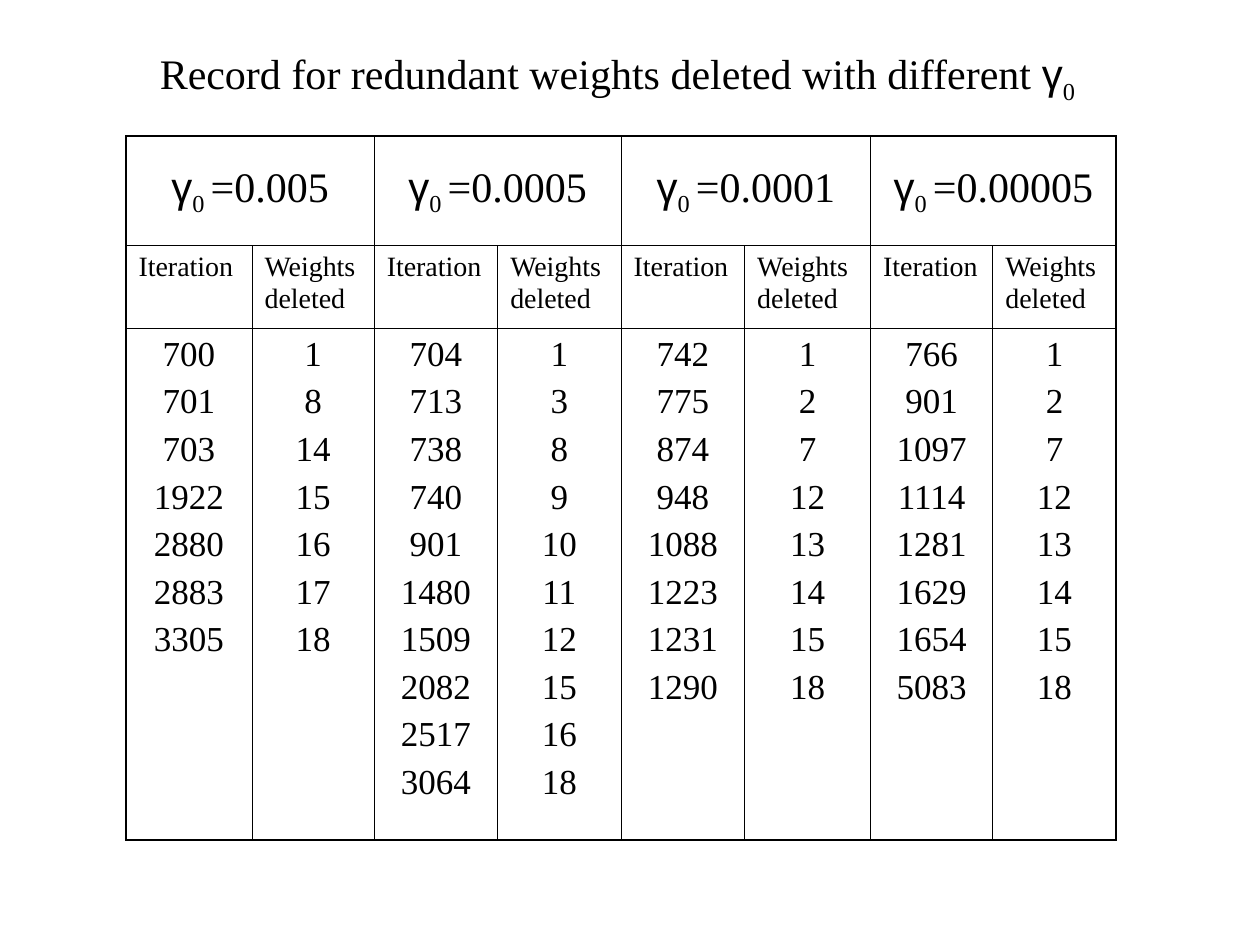
from pptx import Presentation
from pptx.dml.color import RGBColor
from pptx.enum.text import MSO_ANCHOR, MSO_AUTO_SIZE, PP_ALIGN
from pptx.oxml.ns import qn
from pptx.util import Inches, Pt
from lxml.etree import SubElement

BLACK = RGBColor(0x00, 0x00, 0x00)
SERIF = "Times New Roman"
THIN, THICK = Pt(0.45), Pt(1.08)

# Per gamma value: iterations and the weights deleted by then
RECORDS = {
    "0.005": ([700, 701, 703, 1922, 2880, 2883, 3305],
              [1, 8, 14, 15, 16, 17, 18]),
    "0.0005": ([704, 713, 738, 740, 901, 1480, 1509, 2082, 2517, 3064],
               [1, 3, 8, 9, 10, 11, 12, 15, 16, 18]),
    "0.0001": ([742, 775, 874, 948, 1088, 1223, 1231, 1290],
               [1, 2, 7, 12, 13, 14, 15, 18]),
    "0.00005": ([766, 901, 1097, 1114, 1281, 1629, 1654, 5083],
                [1, 2, 7, 12, 13, 14, 15, 18]),
}
COLUMN_WIDTHS = [1, 0.97, 0.98, 0.98, 0.98, 1, 0.97, 0.98]
ROW_HEIGHTS = [0.87, 0.66, 4.06]


def add_runs(paragraph, texts):
    """Add 24 pt runs: gamma in Arial, a zero as its subscript."""
    paragraph.font.size = Pt(24)
    paragraph.font.color.rgb = BLACK
    for text in texts:
        run = paragraph.add_run()
        run.text = text
        run.font.name = "Arial" if text == "γ" else SERIF
        if text.strip() == "0":
            run.font._element.set("baseline", "-25000")


def set_borders(cell, widths):
    """Draw black lines on the left, right, top and bottom of a cell."""
    properties = cell._tc.get_or_add_tcPr()
    for position, (side, width) in enumerate(zip(("lnL", "lnR", "lnT", "lnB"), widths)):
        line = SubElement(properties, qn(f"a:{side}"), w=str(int(width)))
        fill = SubElement(line, qn("a:solidFill"))
        SubElement(fill, qn("a:srgbClr"), val=str(BLACK))
        properties.remove(line)
        properties.insert(position, line)


presentation = Presentation()
presentation.slide_width = Inches(10)
presentation.slide_height = Inches(7.5)
slide = presentation.slides.add_slide(presentation.slide_layouts[6])

# Table frame
table_shape = slide.shapes.add_table(
    3, 8, Inches(1), Inches(1.08), Inches(sum(COLUMN_WIDTHS)), Inches(sum(ROW_HEIGHTS)))
table = table_shape.table
table.first_row = table.horz_banding = False
for column, width in zip(table.columns, COLUMN_WIDTHS):
    column.width = Inches(width)
for row, height in zip(table.rows, ROW_HEIGHTS):
    row.height = Inches(height)

# No fills, thick outer border, thin inner lines
for row in range(3):
    for column in range(8):
        cell = table.cell(row, column)
        cell.fill.background()
        last_column = column + (2 if row == 0 and column % 2 == 0 else 1)
        edges = (column == 0, last_column == 8, row == 0, row == 2)
        set_borders(cell, [THICK if edge else THIN for edge in edges])

# Gamma headings, column labels and values
for group, (gamma, record) in enumerate(RECORDS.items()):
    heading = table.cell(0, 2 * group)
    heading.merge(table.cell(0, 2 * group + 1))
    heading.vertical_anchor = MSO_ANCHOR.MIDDLE
    paragraph = heading.text_frame.paragraphs[0]
    paragraph.alignment = PP_ALIGN.CENTER
    add_runs(paragraph, ["γ", "0 ", f"={gamma}"])

    for offset, (label, values) in enumerate(zip(("Iteration", "Weights deleted"), record)):
        column = 2 * group + offset
        label_cell, value_cell = table.cell(1, column), table.cell(2, column)
        label_cell.text = label
        value_cell.text = "\n".join(map(str, values))
        for cell, size in ((label_cell, 16), (value_cell, 20)):
            for number, paragraph in enumerate(cell.text_frame.paragraphs):
                paragraph.font.name = SERIF
                paragraph.font.size = Pt(size)
                paragraph.font.color.rgb = BLACK
                if cell is value_cell:
                    paragraph.alignment = PP_ALIGN.CENTER
                if number > 0:
                    paragraph.space_before = Pt(5)

# Title
title = slide.shapes.add_textbox(Inches(1.17), Inches(0.33), Inches(7.67), Inches(0.56))
title.text_frame.word_wrap = True
title.text_frame.auto_size = MSO_AUTO_SIZE.SHAPE_TO_FIT_TEXT
add_runs(title.text_frame.paragraphs[0],
         ["Record for redundant weights deleted with different ", "γ", "0"])

presentation.save("out.pptx")
